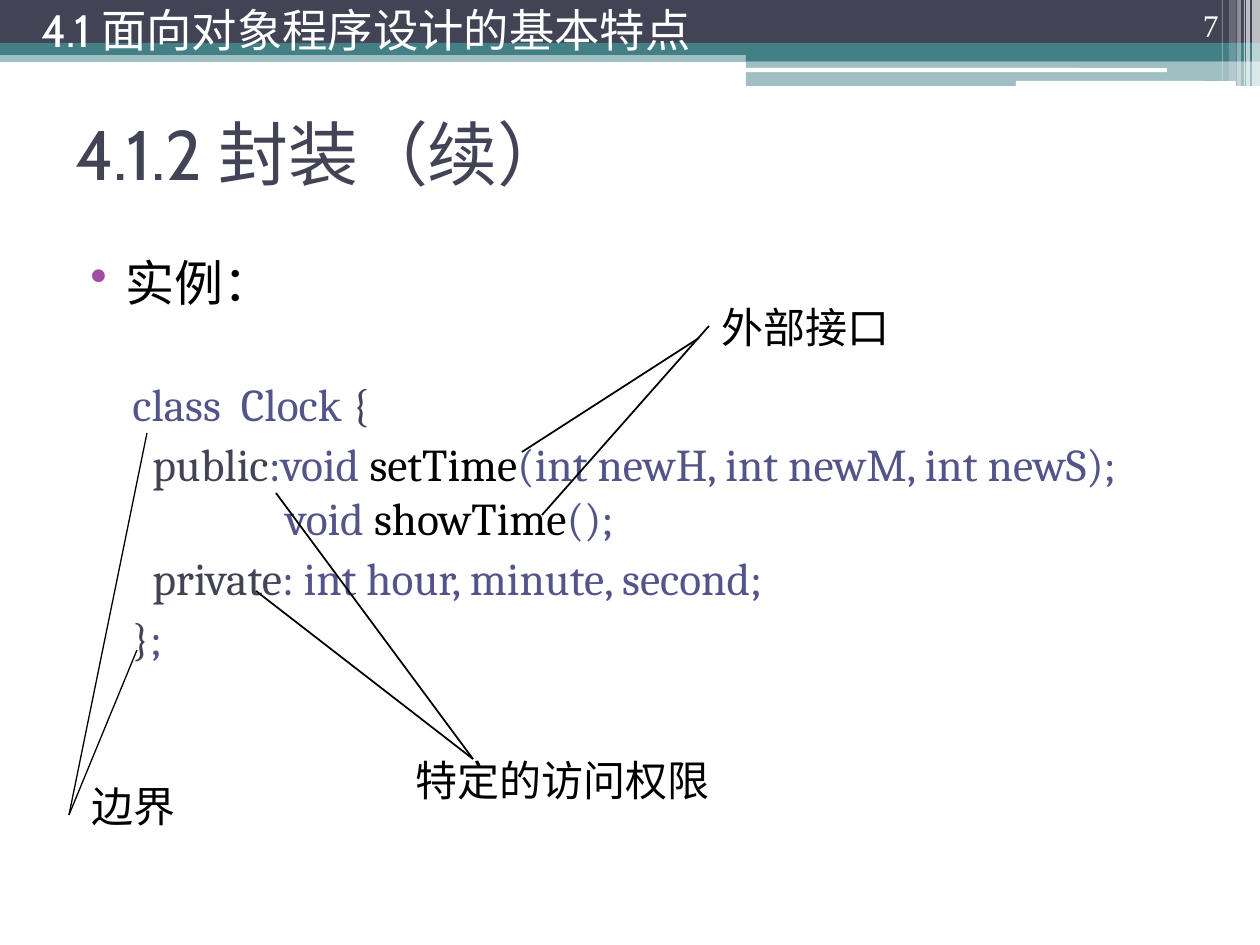
from lxml import etree
from pptx import Presentation
from pptx.dml.color import RGBColor
from pptx.enum.shapes import MSO_CONNECTOR, MSO_SHAPE
from pptx.enum.text import MSO_ANCHOR, PP_ALIGN
from pptx.oxml.ns import qn
from pptx.util import Emu, Pt

RECT, ROUND = MSO_SHAPE.RECTANGLE, MSO_SHAPE.ROUNDED_RECTANGLE
STRAIGHT = MSO_CONNECTOR.STRAIGHT
TOP, MIDDLE, BOTTOM = MSO_ANCHOR.TOP, MSO_ANCHOR.MIDDLE, MSO_ANCHOR.BOTTOM
LEFT, RIGHT = PP_ALIGN.LEFT, PP_ALIGN.RIGHT

PX_PER_INCH = 126
WIDTH, HEIGHT = 1260, 945
WHITE, BLACK = "FFFFFF", "000000"
DARK, TEAL, CODE, PURPLE = "424456", "438086", "53548A", "A04DA3"
HEAD_FONT, CODE_FONT, LABEL_FONT = "Cabin", "Cambria", "Times New Roman"
CHINESE_FONT = "Noto Sans CJK SC"


def px(length):
    return Emu(round(length * 914400 / PX_PER_INCH))


def color(code):
    return RGBColor.from_string(code)


class SlideWriter:
    def __init__(self, slide):
        self.shapes = slide.shapes

    def bar(self, left, top, width, height, fill, alpha=100, kind=RECT):
        bar = self.shapes.add_shape(kind, px(left), px(top), px(width), px(height))
        bar.shadow.inherit = False
        bar.line.fill.background()
        bar.fill.solid()
        bar.fill.fore_color.rgb = color(fill)
        if alpha < 100:
            tint = bar.fill._xPr.find(qn("a:solidFill"))[0]
            etree.SubElement(tint, qn("a:alpha"), val=str(alpha * 1000))

    def line(self, start, end, width):
        line = self.shapes.add_connector(STRAIGHT, *map(px, start + end))
        line.line.color.rgb = color(BLACK)
        line.line.width = Pt(width)
        etree.SubElement(line._element.spPr, qn("a:effectLst"))

    def box(self, left, top, width, height, anchor=TOP):
        frame = self.shapes.add_textbox(px(left), px(top), px(width), px(height)).text_frame
        frame.word_wrap = True
        frame.vertical_anchor = anchor
        return frame

    def para(self, frame, runs, size, font, align=LEFT, before=0, margin=0, hang=0):
        para = frame.paragraphs[0]
        if para.runs:
            para = frame.add_paragraph()
        para.alignment = align
        para.space_before = Pt(before)
        properties = para._p.get_or_add_pPr()
        properties.set("marL", str(px(margin)))
        properties.set("indent", str(px(-hang)))
        for words, tint in runs:
            span = para.add_run()
            span.text = words
            span.font.size = Pt(size)
            span.font.name = font
            span.font.color.rgb = color(tint)
            etree.SubElement(span._r.rPr, qn("a:ea"), typeface=CHINESE_FONT)
        return para

    def bullet(self, para, tint):
        properties = para._p.get_or_add_pPr()
        holder = etree.SubElement(properties, qn("a:buClr"))
        etree.SubElement(holder, qn("a:srgbClr"), val=tint)
        etree.SubElement(properties, qn("a:buChar"), char="•")

    def text(self, place, words, size, font, tint, anchor=TOP, align=LEFT):
        self.para(self.box(*place, anchor), [(words, tint)], size, font, align)


def build():
    deck = Presentation()
    deck.slide_width, deck.slide_height = px(WIDTH), px(HEIGHT)
    page = SlideWriter(deck.slides.add_slide(deck.slide_layouts[6]))

    # Header bands
    page.bar(0, 50, WIDTH, 12, TEAL, 50)
    page.bar(0, 0, WIDTH, 43, DARK)
    page.bar(0, 43, WIDTH, 12, TEAL)
    page.bar(746, 49, 514, 12, TEAL)
    page.bar(746, 61, 514, 25, TEAL, 50)
    page.bar(745, 68, 422, 4, WHITE, kind=ROUND)
    page.bar(1016, 81, 220, 5, WHITE, kind=ROUND)

    # Pale stripes at the right edge
    for left, width, height, alpha in [
        (1252, 8, 86, 65), (1246, 4, 86, 65), (1244, 1, 86, 60),
        (1237, 4, 86, 40), (1229, 7, 81, 20), (1222, 1, 81, 30),
    ]:
        page.bar(left, 0, width, height, WHITE, alpha)

    # Title, page number and chapter heading
    page.text((63, 79, 1134, 147), "4.1.2 封装（续）", 40, HEAD_FONT, DARK, MIDDLE)
    page.text((1126, 0, 105, 50), "7", 18, LABEL_FONT, WHITE, BOTTOM, RIGHT)
    page.text((29, 0, 1053, 59), "4.1 面向对象程序设计的基本特点", 25.9, HEAD_FONT, WHITE, MIDDLE)

    # Bullet and code example: left margin, space before, runs
    body = page.box(63, 246, 1158, 660)
    example = page.para(body, [("实例：", BLACK)], 28, CHINESE_FONT,
                        before=3, margin=50, hang=35)
    page.bullet(example, PURPLE)
    for margin, before, runs in [
        (57, 37, [("class  Clock ", CODE), ("{", DARK)]),
        (77, 3, [("public", DARK), (":void ", CODE), ("setTime", BLACK),
                 ("(int newH, int newM, int newS);", CODE)]),
        (210, 0, [("void ", CODE), ("showTime", BLACK), ("();", CODE)]),
        (77, 3, [("private", DARK), (": int hour, minute, second;", CODE)]),
        (57, 3, [("}", DARK), (";", CODE)]),
    ]:
        page.para(body, runs, 26, CODE_FONT, before=before, margin=margin)

    # Callout labels
    for place, words in [
        ((79, 774, 126, 63), "边界"),
        ((403, 748, 325, 63), "特定的访问权限"),
        ((709, 295, 221, 63), "外部接口"),
    ]:
        page.text(place, words, 24, LABEL_FONT, BLACK)

    # Callout lines from the code to the labels
    for start, end, width in [
        ((147, 433), (69, 815), 0.75), ((137, 650), (69, 815), 0.75),
        ((542, 515), (709, 326), 1), ((522, 452), (699, 338), 1),
        ((276, 493), (473, 759), 1), ((256, 591), (473, 759), 1),
    ]:
        page.line(start, end, width)

    deck.save("out.pptx")


if __name__ == "__main__":
    build()
